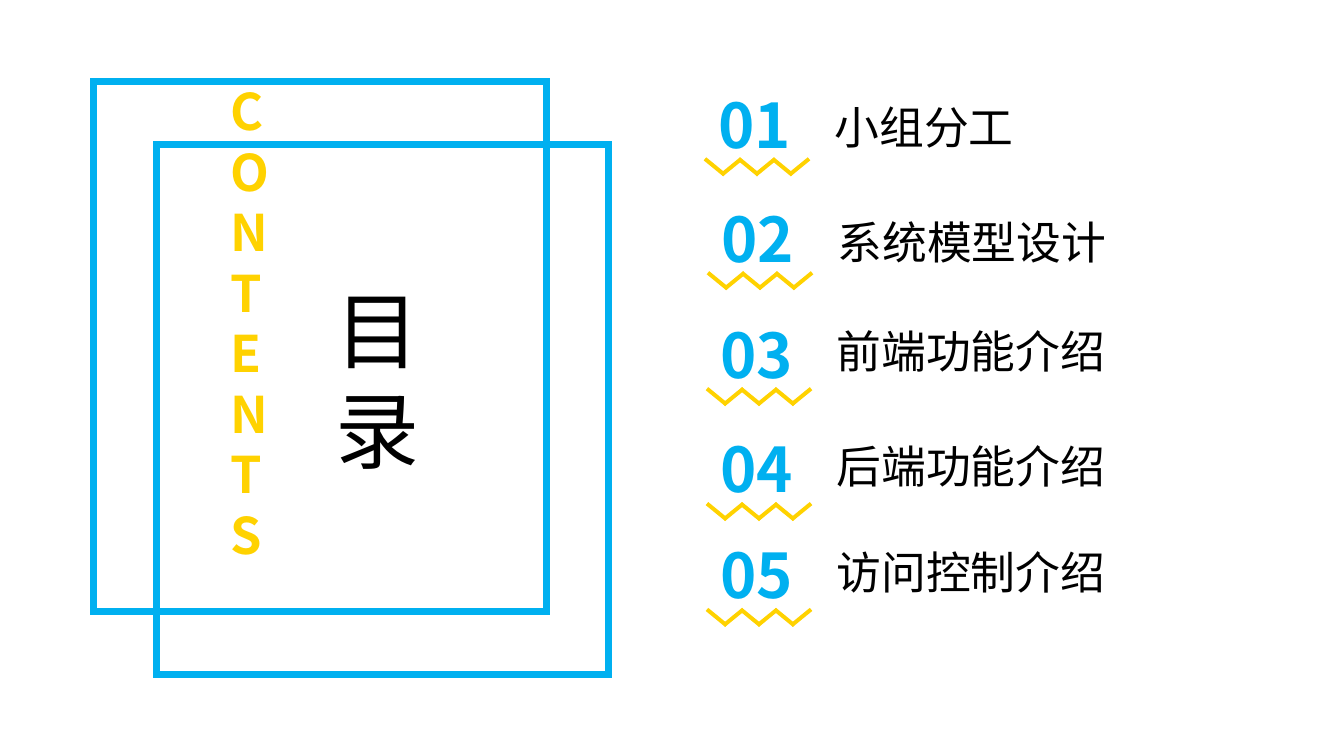
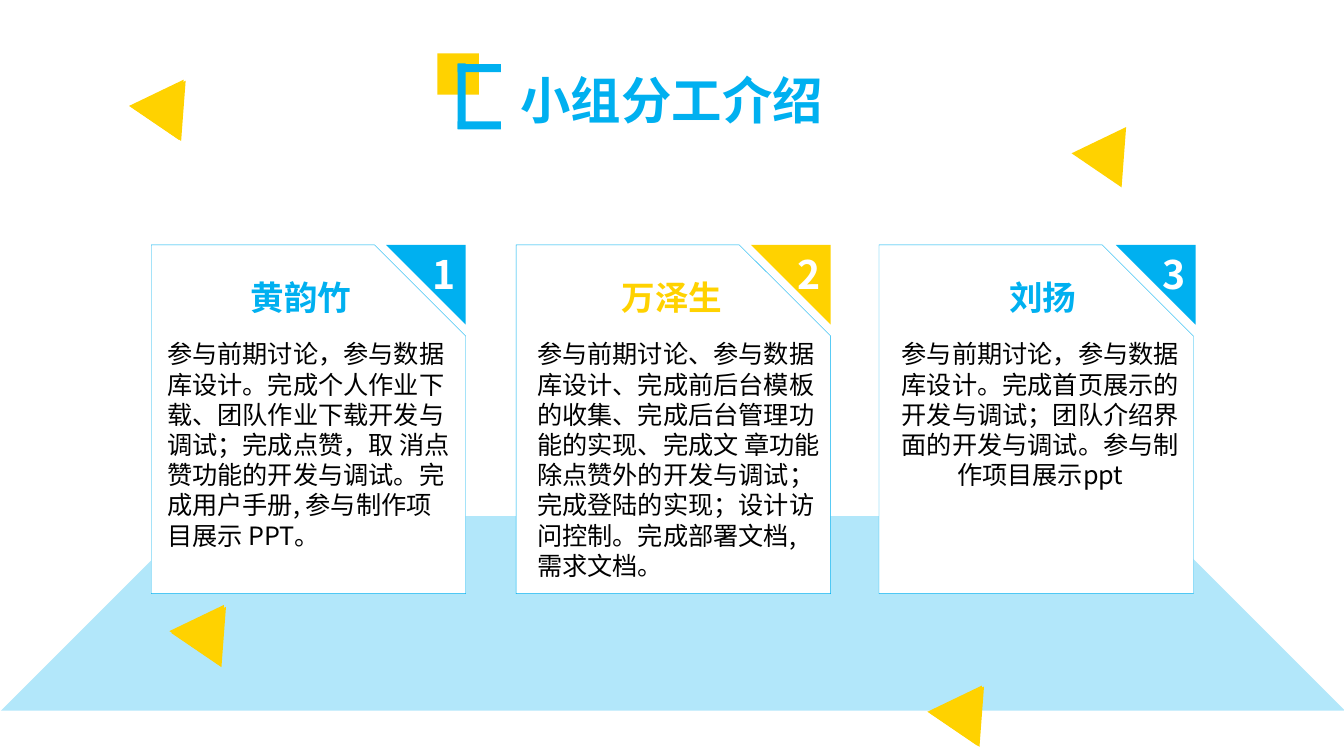
from dataclasses import dataclass
from typing import NamedTuple

from lxml import etree
from pptx import Presentation
from pptx import util as u
from pptx.dml.color import RGBColor
from pptx.enum import shapes, text
from pptx.oxml.ns import qn

BLUE = RGBColor(0x00, 0xB0, 0xF0)
GOLD = RGBColor(0xFF, 0xD2, 0x00)
BLACK = RGBColor(0x00, 0x00, 0x00)
WHITE = RGBColor(0xFF, 0xFF, 0xFF)

CELL = u.Inches(0.1)  # one column or row of the grid
COLS, ROWS = 133.33, 75
LEAD = 1.2  # line height as a share of the text size

KIND = shapes.MSO_SHAPE
LEFT, MID, RIGHT = text.PP_ALIGN.LEFT, text.PP_ALIGN.CENTER, text.PP_ALIGN.RIGHT


class Box(NamedTuple):
    """Left, top, width and height in grid cells."""
    x: float
    y: float
    w: float
    h: float

    def emu(self) -> list[int]:
        return [grid(n) for n in self]


@dataclass(frozen=True)
class Type:
    size: int
    color: RGBColor
    bold: bool = False
    align: text.PP_ALIGN = LEFT
    font: str = "Noto Sans CJK JP"


@dataclass(frozen=True)
class Item:
    num: str
    label: str
    x: float
    y: float
    drop: float  # rows from the number's top to the label's top


@dataclass(frozen=True)
class Card:
    num: str
    name: str
    body: str
    x: float
    tint: RGBColor
    fold: float  # columns from the card's left to its corner
    head: float  # columns from the card's left to the name
    inset: float  # columns from the card's left to the body
    align: text.PP_ALIGN = LEFT


ITEMS = [
    Item("01", "小组分工", 70, 8.1, 1.3),
    Item("02", "系统模型设计", 70.3, 19.4, 1.4),
    Item("03", "前端功能介绍", 70.2, 30.9, 0.7),
    Item("04", "后端功能介绍", 70.2, 42.3, 0.7),
    Item("05", "访问控制介绍", 70.2, 52.8, 0.7),
]

CARDS = [
    Card("1", "黄韵竹",
         "参与前期讨论，参与数据库设计。完成个人作业下载、团队作业下载开发与调试；"
         "完成点赞，取 消点赞功能的开发与调试。完成用户手册, 参与制作项目展示 PPT。",
         15, BLUE, 23.3, 0.1, 0.6),
    Card("2", "万泽生",
         "参与前期讨论、参与数据库设计、完成前后台模板的收集、完成后台管理功能的实现、"
         "完成文 章功能除点赞外的开发与调试；完成登陆的实现；设计访问控制。"
         "完成部署文档, 需求文档。",
         51.2, GOLD, 23.3, 0.7, 1.1),
    Card("3", "刘扬",
         "参与前期讨论，参与数据库设计。完成首页展示的开发与调试；"
         "团队介绍界面的开发与调试。参与制作项目展示ppt",
         87.2, BLUE, 23.5, 1.5, 0.7, MID),
]

DARTS = [(91.8, 68.3), (12.6, 8.2), (105.9, 12.8), (16.6, 60.4),
         (91.6, 68.2), (12.4, 8.1), (16.4, 60.2)]


def grid(n: float) -> int:
    return round(n * CELL)


def write(frame, words: str, kind: Type) -> None:
    para = frame.paragraphs[0]
    para.alignment = kind.align
    para.line_spacing = u.Pt(kind.size * LEAD)
    run = para.add_run()
    run.text = words
    font = run.font
    font.name, font.size, font.bold = kind.font, u.Pt(kind.size), kind.bold
    font.color.rgb = kind.color
    east = etree.SubElement(run._r.get_or_add_rPr(), qn("a:ea"))
    east.set("typeface", kind.font)


def label(slide, box: Box, words: str, kind: Type) -> None:
    frame = slide.shapes.add_textbox(*box.emu()).text_frame
    frame.word_wrap = True
    write(frame, words, kind)


def paint(shape, fill: RGBColor | None, line: RGBColor | None = None,
          width: float = 0) -> None:
    shape.shadow.inherit = False
    if fill is None:
        shape.fill.background()
    else:
        shape.fill.solid()
        shape.fill.fore_color.rgb = fill
    if line is None:
        shape.line.fill.background()
    else:
        shape.line.color.rgb = line
        shape.line.width = u.Pt(width)
        edge = shape._element.spPr.find(qn("a:ln"))
        etree.SubElement(edge, qn("a:miter")).set("lim", "800000")


def block(slide, box: Box, fill: RGBColor | None, kind=KIND.RECTANGLE,
          turn: float = 0, line: RGBColor | None = None, width: float = 0):
    shape = slide.shapes.add_shape(kind, *box.emu())
    shape.rotation = turn
    paint(shape, fill, line, width)
    return shape


def fade(shape, share: int) -> None:
    """Set the fill's opacity in percent."""
    tone = shape._element.spPr.find(qn("a:solidFill"))[0]
    etree.SubElement(tone, qn("a:alpha")).set("val", str(share * 1000))


def entry(slide, item: Item) -> None:
    """Number over a zigzag of six strokes, with its label."""
    label(slide, Box(item.x + 11.8, item.y + item.drop, 44.7, 6.4),
          item.label, Type(32, BLACK))
    for i in range(6):
        block(slide, Box(item.x - 0.35 + 1.68 * i, item.y + 8.25, 2.5, 0.4),
              GOLD, turn=320.7 if i % 2 else 39.3)
    label(slide, Box(item.x, item.y, 9.7, 8.4), item.num,
          Type(44, BLUE, True, MID))


def corner(slide, x: float, y: float, side: float, card: Card) -> None:
    pen = slide.shapes.build_freeform(grid(x + side), grid(y), scale=1.0)
    pen.add_line_segments([(grid(x), grid(y)), (grid(x + side), grid(y + side))])
    shape = pen.convert_to_shape()
    paint(shape, card.tint)
    frame = shape.text_frame
    frame.word_wrap = False
    frame.vertical_anchor = text.MSO_ANCHOR.TOP
    write(frame, card.num, Type(28, WHITE, True, RIGHT, "Noto Sans CJK SC"))


def panel(slide, card: Card) -> None:
    top = 24.3
    back = block(slide, Box(card.x, top, 31.2, 34.6), WHITE,
                 KIND.SNIP_1_RECTANGLE, line=BLUE, width=0.25)
    back.adjustments[0] = 0.29
    corner(slide, card.x + card.fold, top, 7.9, card)
    label(slide, Box(card.x + card.head, top + 2.7, 29.5, 5), card.name,
          Type(24, card.tint, True, MID, "Noto Sans CJK SC"))
    label(slide, Box(card.x + card.inset, top + 8.8, 30.6, 25.2), card.body,
          Type(18, BLACK, align=card.align))


def title(slide, words: str) -> None:
    """Heading with a gold square and an open blue bracket."""
    label(slide, Box(46.8, 6.4, 39.7, 7.1), words, Type(36, BLUE, True, MID))
    block(slide, Box(43.4, 5.3, 4.1, 4.1), GOLD)
    block(slide, Box(45.4, 6.3, 0.8, 6.5), BLUE)
    for y in (6.35, 12.05):
        block(slide, Box(45.4, y, 4.3, 0.8), BLUE)


def contents(slide) -> None:
    for x, y in ((9.3, 8.1), (15.5, 14.3)):
        block(slide, Box(x, y, 44.9, 52.6), None, line=BLUE, width=5)
    label(slide, Box(21.9, 7.5, 3.5, 49.5), "CONTENTS", Type(36, GOLD, True, MID))
    label(slide, Box(31.7, 27.1, 11.5, 21.2), "目录", Type(60, BLACK, align=MID))
    for item in ITEMS:
        entry(slide, item)


def team(slide) -> None:
    title(slide, "小组分工介绍")
    floor = block(slide, Box(0.1, 51.2, COLS, 19.3), BLUE, KIND.TRAPEZOID)
    floor.adjustments[0] = 1
    fade(floor, 30)
    for card in CARDS:
        panel(slide, card)
    for x, y in DARTS:
        block(slide, Box(x, y, 6, 5.2), GOLD, KIND.ISOSCELES_TRIANGLE, 274.3)


def main() -> None:
    deck = Presentation()
    deck.slide_width, deck.slide_height = grid(COLS), grid(ROWS)
    for draw in (contents, team):
        draw(deck.slides.add_slide(deck.slide_layouts[6]))
    deck.save("out.pptx")


if __name__ == "__main__":
    main()
